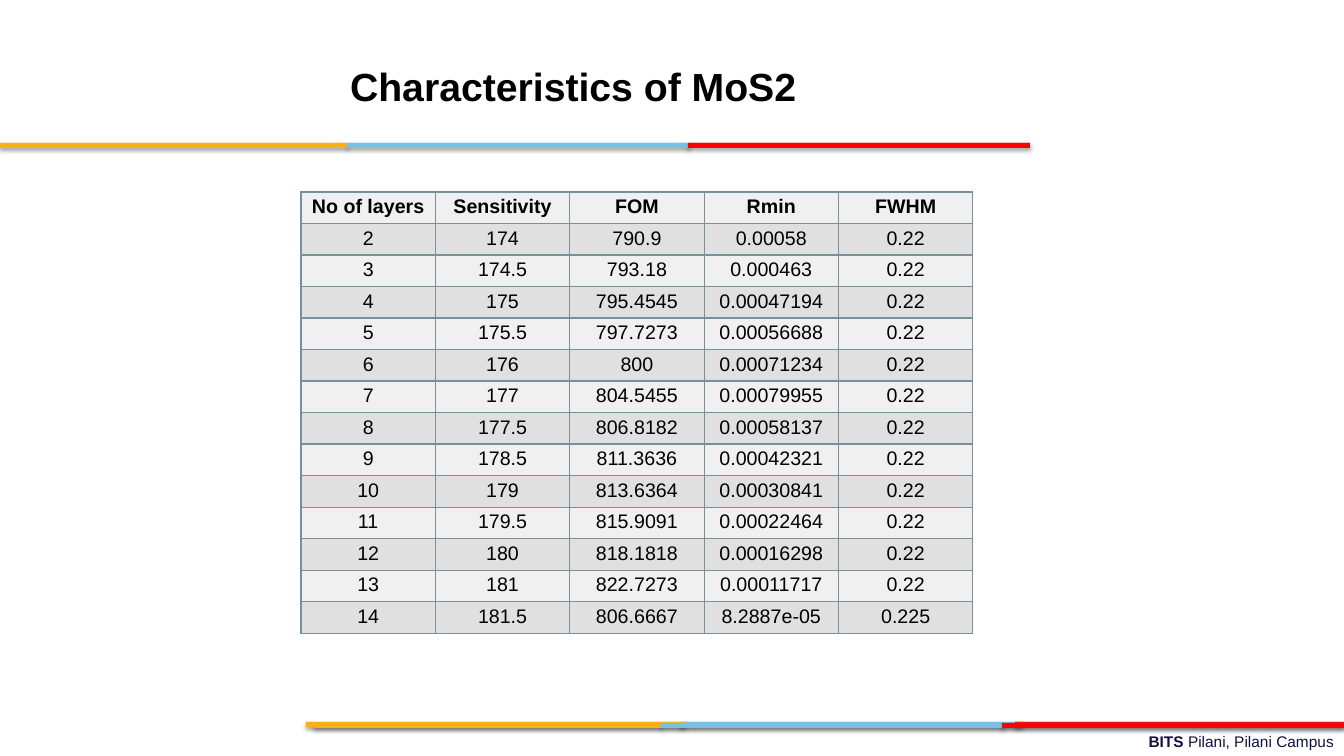
"""Build the slide that tabulates the characteristics of MoS2 by number of layers."""
import dataclasses
import typing

import lxml.etree
import pptx
import pptx.dml.color
import pptx.enum.shapes
import pptx.enum.text
import pptx.oxml
import pptx.oxml.ns
import pptx.util

PAGE_WIDTH, PAGE_HEIGHT = 1344, 756
EMU_PER_PX = 914400 / 100.8
ALIGN = pptx.enum.text.PP_ALIGN
ANCHOR = pptx.enum.text.MSO_ANCHOR


@dataclasses.dataclass(frozen=True)
class Theme:
    font: str = "Arial"
    title_size: int = 28
    table_size: int = 14
    footer_size: int = 11
    ink: str = "000000"
    navy: str = "101141"
    yellow: str = "FCB017"
    blue: str = "76C2E5"
    crimson: str = "E31C24"
    red: str = "FF0000"
    border: str = "78909C"
    row_fills: tuple[str, str] = ("F0F0F0", "E0E0E0")


THEME = Theme()


class Stripe(typing.NamedTuple):
    left: int
    top: int
    width: int
    color: str


class Span(typing.NamedTuple):
    text: str
    bold: bool


@dataclasses.dataclass(frozen=True)
class Label:
    left: int
    top: int
    width: int
    height: int
    spans: tuple[Span, ...]
    size: int
    color: str
    frame_format: dict[str, typing.Any]
    para_format: dict[str, typing.Any]


STRIPE_HEIGHT = 5
STRIPES = (
    Stripe(680, 722, 342, THEME.blue),
    Stripe(1015, 722, 329, THEME.crimson),
    Stripe(306, 722, 379, THEME.yellow),
    Stripe(661, 723, 342, THEME.blue),
    Stripe(314, 723, 347, THEME.yellow),
    Stripe(1002, 723, 342, THEME.red),
    Stripe(347, 143, 342, THEME.blue),
    Stripe(0, 143, 347, THEME.yellow),
    Stripe(688, 143, 342, THEME.red),
)

HEADERS = ("No of layers", "Sensitivity", "FOM", "Rmin", "FWHM")
READINGS = (
    ("2", "174", "790.9", "0.00058", "0.22"),
    ("3", "174.5", "793.18", "0.000463", "0.22"),
    ("4", "175", "795.4545", "0.00047194", "0.22"),
    ("5", "175.5", "797.7273", "0.00056688", "0.22"),
    ("6", "176", "800", "0.00071234", "0.22"),
    ("7", "177", "804.5455", "0.00079955", "0.22"),
    ("8", "177.5", "806.8182", "0.00058137", "0.22"),
    ("9", "178.5", "811.3636", "0.00042321", "0.22"),
    ("10", "179", "813.6364", "0.00030841", "0.22"),
    ("11", "179.5", "815.9091", "0.00022464", "0.22"),
    ("12", "180", "818.1818", "0.00016298", "0.22"),
    ("13", "181", "822.7273", "0.00011717", "0.22"),
    ("14", "181.5", "806.6667", "8.2887e-05", "0.225"),
)


def px(length: int) -> pptx.util.Emu:
    """Turn a length in px into EMU."""
    return pptx.util.Emu(round(length * EMU_PER_PX))


def rgb(color: str) -> pptx.dml.color.RGBColor:
    """Turn a hex string into a colour."""
    return pptx.dml.color.RGBColor.from_string(color)


def apply(target: typing.Any, values: dict[str, typing.Any]) -> None:
    """Set every named attribute on the target."""
    for name, value in values.items():
        setattr(target, name, value)


def margins(across: int, down: int) -> dict[str, pptx.util.Emu]:
    """Give the four text margins as format values."""
    return {"margin_left": px(across), "margin_right": px(across),
            "margin_top": px(down), "margin_bottom": px(down)}


def add_span(para: typing.Any, span: Span, size: int, color: str) -> None:
    """Append one formatted run to a paragraph."""
    run = para.add_run()
    run.text = span.text
    apply(run.font, {"name": THEME.font, "size": pptx.util.Pt(size), "bold": span.bold})
    run.font.color.rgb = rgb(color)


def add_stripe(page: typing.Any, stripe: Stripe, shadowed: bool) -> None:
    """Draw one coloured stripe, with a soft shadow below it if asked."""
    shape = page.shapes.add_shape(
        pptx.enum.shapes.MSO_SHAPE.RECTANGLE,
        px(stripe.left), px(stripe.top), px(stripe.width), px(STRIPE_HEIGHT))
    shape.shadow.inherit = False
    shape.fill.solid()
    shape.fill.fore_color.rgb = rgb(stripe.color)
    shape.line.fill.background()
    if shadowed:
        effects = shape._element.spPr.find(pptx.oxml.ns.qn("a:effectLst"))
        effects.append(pptx.oxml.parse_xml(
            f'<a:outerShdw {pptx.oxml.ns.nsdecls("a")} blurRad="39370" dist="22860" '
            f'dir="5400000" rotWithShape="0"><a:srgbClr val="{THEME.ink}">'
            '<a:alpha val="35000"/></a:srgbClr></a:outerShdw>'))


def add_label(page: typing.Any, label: Label) -> None:
    """Draw one text box with a single paragraph."""
    box = page.shapes.add_textbox(
        px(label.left), px(label.top), px(label.width), px(label.height))
    apply(box.text_frame, {"word_wrap": True} | label.frame_format)
    para = box.text_frame.paragraphs[0]
    apply(para, label.para_format)
    for span in label.spans:
        add_span(para, span, label.size, label.color)


def add_borders(cell: typing.Any) -> None:
    """Rule all four sides of a table cell."""
    properties = cell._tc.get_or_add_tcPr()
    for side in ("lnL", "lnR", "lnT", "lnB"):
        line = lxml.etree.SubElement(
            properties, pptx.oxml.ns.qn(f"a:{side}"), w=str(pptx.util.Pt(1)))
        fill = lxml.etree.SubElement(line, pptx.oxml.ns.qn("a:solidFill"))
        lxml.etree.SubElement(fill, pptx.oxml.ns.qn("a:srgbClr"), val=THEME.border)


def add_readings(page: typing.Any) -> None:
    """Draw the table of readings with alternating row fills."""
    rows = (HEADERS, *READINGS)
    table = page.shapes.add_table(
        len(rows), len(HEADERS), px(301), px(192), px(672), px(430)).table
    apply(table, {"first_row": False, "horz_banding": False})
    for row_index, row in enumerate(rows):
        for column_index, text in enumerate(row):
            cell = table.cell(row_index, column_index)
            apply(cell, margins(8, 4))
            add_borders(cell)
            cell.fill.solid()
            cell.fill.fore_color.rgb = rgb(THEME.row_fills[row_index % 2])
            para = cell.text_frame.paragraphs[0]
            para.alignment = ALIGN.CENTER
            add_span(para, Span(text, row_index == 0), THEME.table_size, THEME.ink)


def main() -> None:
    """Build and save the deck."""
    deck = pptx.Presentation()
    apply(deck, {"slide_width": px(PAGE_WIDTH), "slide_height": px(PAGE_HEIGHT)})
    page = deck.slides.add_slide(deck.slide_layouts[6])
    add_label(page, Label(
        482, 727, 862, 28, (Span("BITS ", True), Span("Pilani, Pilani Campus", False)),
        THEME.footer_size, THEME.navy, margins(10, 5), {"alignment": ALIGN.RIGHT}))
    for shadowed in (True, False):
        for stripe in STRIPES:
            add_stripe(page, stripe, shadowed)
    add_label(page, Label(
        144, 34, 869, 110, (Span("Characteristics of MoS2 ", True),),
        THEME.title_size, THEME.ink,
        margins(7, 4) | {"vertical_anchor": ANCHOR.MIDDLE},
        {"alignment": ALIGN.CENTER, "line_spacing": 0.9}))
    add_readings(page)
    deck.save("out.pptx")


if __name__ == "__main__":
    main()
